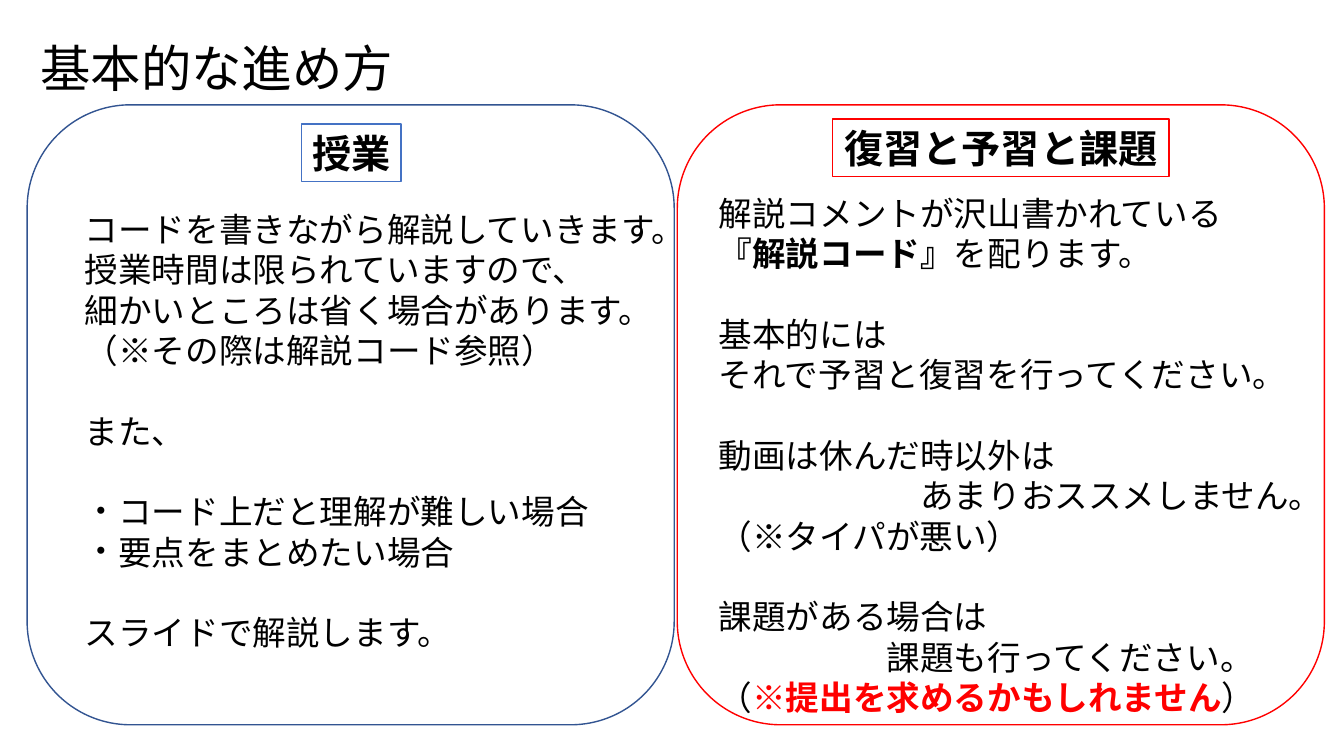
"""Builds the slide that explains how the course is run."""
from dataclasses import dataclass

from lxml.etree import SubElement
from pptx import Presentation
from pptx.dml.color import RGBColor
from pptx.enum.shapes import MSO_SHAPE
from pptx.enum.text import MSO_ANCHOR, MSO_AUTO_SIZE, PP_ALIGN
from pptx.oxml import parse_xml
from pptx.oxml.ns import nsdecls, qn
from pptx.util import Pt


@dataclass(frozen=True)
class Theme:
    font: str = "Noto Sans CJK JP"
    ink: RGBColor = RGBColor(0, 0, 0)
    paper: RGBColor = RGBColor(255, 255, 255)
    navy: RGBColor = RGBColor(0x32, 0x54, 0x91)
    blue: RGBColor = RGBColor(0x44, 0x72, 0xC4)
    red: RGBColor = RGBColor(255, 0, 0)
    title: int = 36
    heading: int = 28
    body: int = 24
    pitch: float = 28.8


@dataclass(frozen=True)
class Line:
    text: str
    gap: bool = False
    indent: int = 0
    bullet: str = ""
    strong: str = ""
    strong_color: RGBColor = Theme.ink


class CourseSlide:
    def __init__(self, slide, theme):
        self.slide = slide
        self.theme = theme

    def place(self, shape, left, top, width, height):
        shape.left, shape.top = Pt(left), Pt(top)
        shape.width, shape.height = Pt(width), Pt(height)

    def style(self, paragraph, size, bold=False):
        font = paragraph.font
        font.name, font.size, font.bold = self.theme.font, Pt(size), bold
        font.color.rgb = self.theme.ink
        defaults = paragraph._p.pPr.find(qn("a:defRPr"))
        SubElement(defaults, qn("a:ea"), typeface=self.theme.font)
        return defaults

    def title(self, text, *box):
        title = self.slide.shapes.title
        self.place(title, *box)
        frame = title.text_frame
        frame.text = text
        frame.auto_size = MSO_AUTO_SIZE.NONE
        frame.vertical_anchor = MSO_ANCHOR.MIDDLE
        frame.paragraphs[0].alignment = PP_ALIGN.LEFT
        self.style(frame.paragraphs[0], self.theme.title)

    def outline(self, preset, color, *box):
        shape = self.slide.shapes.add_shape(preset, *map(Pt, box))
        shape.shadow.inherit = False
        shape.fill.background()
        shape.line.color.rgb = color
        shape.line.width = Pt(1)
        return shape

    def panel(self, color, *box):
        self.outline(MSO_SHAPE.ROUNDED_RECTANGLE, color, *box)

    def heading(self, text, color, *box):
        label = self.outline(MSO_SHAPE.RECTANGLE, color, *box)
        label.fill.solid()
        label.fill.fore_color.rgb = self.theme.paper
        frame = label.text_frame
        frame.text = text
        frame.word_wrap = False
        frame.paragraphs[0].alignment = PP_ALIGN.CENTER
        self.style(frame.paragraphs[0], self.theme.heading, bold=True)

    def body(self, index, lines, *box):
        holder = self.slide.placeholders[index]
        self.place(holder, *box)
        frame = holder.text_frame
        frame.word_wrap = True
        frame.auto_size = MSO_AUTO_SIZE.NONE
        frame.vertical_anchor = MSO_ANCHOR.TOP
        frame.margin_top = Pt(6)
        frame.text = "\n".join(line.text for line in lines)
        for paragraph, line in zip(frame.paragraphs, lines):
            self.format_line(paragraph, line)

    def format_line(self, paragraph, line):
        defaults = self.style(paragraph, self.theme.body)
        paragraph.line_spacing = Pt(self.theme.pitch)
        paragraph.space_before = Pt(self.theme.pitch if line.gap else 0)
        paragraph.space_after = Pt(0)
        hang = self.theme.body if line.bullet else 0
        properties = paragraph._p.pPr
        properties.set("marL", str(Pt(line.indent * self.theme.body + hang)))
        properties.set("indent", str(Pt(-hang)))
        mark = f'buChar {nsdecls("a")} char="{line.bullet}"' if hang else f'buNone {nsdecls("a")}'
        defaults.addprevious(parse_xml(f"<a:{mark}/>"))
        if line.strong:
            before, after = line.text.split(line.strong)
            paragraph.runs[0].text = before
            strong = paragraph.add_run()
            strong.text = line.strong
            strong.font.bold = True
            strong.font.color.rgb = line.strong_color
            paragraph.add_run().text = after


def main():
    theme = Theme()
    deck = Presentation()
    deck.slide_width, deck.slide_height = Pt(960), Pt(540)
    course = CourseSlide(deck.slides.add_slide(deck.slide_layouts[3]), theme)

    lesson = [
        Line("コードを書きながら解説していきます。"),
        Line("授業時間は限られていますので、"),
        Line("細かいところは省く場合があります。"),
        Line("（※その際は解説コード参照）"),
        Line("また、", gap=True),
        Line("コード上だと理解が難しい場合", gap=True, bullet="・"),
        Line("要点をまとめたい場合", bullet="・"),
        Line("スライドで解説します。", gap=True),
    ]
    homework = [
        Line("解説コメントが沢山書かれている"),
        Line("『解説コード』を配ります。", strong="『解説コード』"),
        Line("基本的には", gap=True),
        Line("それで予習と復習を行ってください。"),
        Line("動画は休んだ時以外は", gap=True),
        Line("あまりおススメしません。", indent=6),
        Line("（※タイパが悪い）"),
        Line("課題がある場合は", gap=True),
        Line("課題も行ってください。", indent=5),
        Line("（※提出を求めるかもしれません）",
             strong="※提出を求めるかもしれません", strong_color=theme.red),
    ]

    course.title("基本的な進め方", 21.6, 22.3, 676.8, 51.8)
    for left, color in ((19.4, theme.navy), (483.8, theme.red)):
        course.panel(color, left, 74.9, 462.2, 442.8)
    course.heading("授業", theme.blue, 215.3, 88.6, 71.3, 41)
    course.heading("復習と予習と課題", theme.red, 594.7, 85, 240.5, 41)
    course.body(1, lesson, 53.3, 143.3, 450.7, 326.9)
    course.body(2, homework, 506.2, 131.8, 448, 385.2)
    deck.save("out.pptx")


if __name__ == "__main__":
    main()
